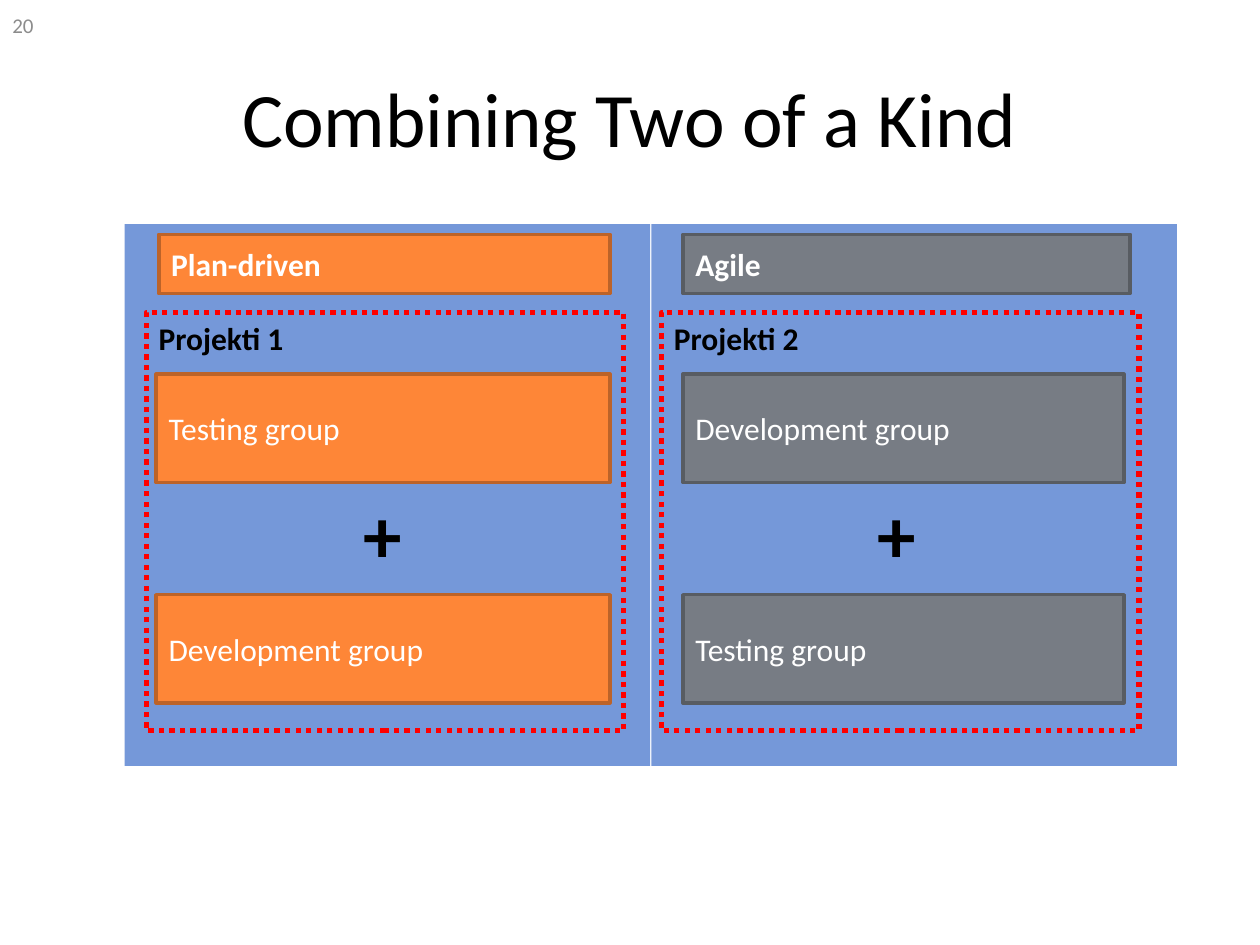
from dataclasses import dataclass

from pptx import Presentation
from pptx.dml.color import RGBColor
from pptx.enum.dml import MSO_LINE_DASH_STYLE as Dash
from pptx.enum.shapes import MSO_SHAPE as Shape
from pptx.enum.text import MSO_ANCHOR as Anchor, PP_ALIGN as Align
from pptx.util import Inches, Pt

COLORS = {
    "black": "000000",
    "white": "FFFFFF",
    "page_number": "8C8C8C",
    "panel": "7598D9",
    "orange": "FE8637",
    "orange_edge": "BC6329",
    "gray": "777C84",
    "gray_edge": "585C62",
    "red": "FF0000",
}
PANEL_TOP, PANEL_WIDTH, PANEL_HEIGHT = 1.78, 4.17, 4.3
HEADER_TOP, HEADER_HEIGHT = 1.86, 0.47
PROJECT_TOP, PROJECT_WIDTH, PROJECT_HEIGHT = 2.48, 3.79, 3.32
GROUP_TOP, GROUP_HEIGHT, GROUP_PITCH = 2.97, 0.86, 1.75
PLUS_TOP, PLUS_WIDTH, PLUS_HEIGHT = 3.81, 0.57, 0.83


@dataclass(frozen=True)
class Approach:
    name: str
    project: str
    groups: tuple[str, str]
    color: str
    panel_left: float
    header_left: float
    header_width: float
    project_left: float
    group_left: float
    group_width: float
    plus_left: float


APPROACHES = (
    Approach("Plan-driven", "Projekti 1", ("Testing group", "Development group"),
             "orange", 0.99, 1.26, 3.58, 1.16, 1.24, 3.6, 2.72),
    Approach("Agile", "Projekti 2", ("Development group", "Testing group"),
             "gray", 5.17, 5.42, 3.55, 5.25, 5.42, 3.5, 6.8),
)


def rgb(color: str) -> RGBColor:
    return RGBColor.from_string(COLORS[color])


def write(shape, text: str, *, size: float = 18, color: str = "black",
          bold: bool = False, align=Align.LEFT, anchor=Anchor.MIDDLE) -> None:
    frame = shape.text_frame
    frame.word_wrap = True
    frame.vertical_anchor = anchor
    paragraph = frame.paragraphs[0]
    paragraph.alignment = align
    run = paragraph.add_run()
    run.text = text
    run.font.name = "Calibri"
    run.font.size = Pt(size)
    run.font.bold = bold
    run.font.color.rgb = rgb(color)


def add_box(slide, left: float, top: float, width: float, height: float, *,
            fill: str | None = None, edge: str | None = None,
            edge_width: float = 2, dash=None):
    """Add a rectangle; without fill or edge, that part stays clear."""
    box = slide.shapes.add_shape(Shape.RECTANGLE, Inches(left), Inches(top),
                                 Inches(width), Inches(height))
    box.shadow.inherit = False
    if fill:
        box.fill.solid()
        box.fill.fore_color.rgb = rgb(fill)
    else:
        box.fill.background()
    if edge:
        box.line.color.rgb = rgb(edge)
        box.line.width = Pt(edge_width)
        if dash:
            box.line.dash_style = dash
    else:
        box.line.fill.background()
    return box


def add_label(slide, left: float, top: float, width: float, height: float,
              text: str, **text_format) -> None:
    label = slide.shapes.add_textbox(Inches(left), Inches(top),
                                     Inches(width), Inches(height))
    write(label, text, **text_format)


def add_approach(slide, approach: Approach) -> None:
    colors = {"fill": approach.color, "edge": f"{approach.color}_edge"}
    add_box(slide, approach.panel_left, PANEL_TOP, PANEL_WIDTH, PANEL_HEIGHT,
            fill="panel")
    header = add_box(slide, approach.header_left, HEADER_TOP,
                     approach.header_width, HEADER_HEIGHT, **colors)
    write(header, approach.name, color="white", bold=True)
    for row, group_name in enumerate(approach.groups):
        group = add_box(slide, approach.group_left, GROUP_TOP + row * GROUP_PITCH,
                        approach.group_width, GROUP_HEIGHT, **colors)
        write(group, group_name, color="white")
    project = add_box(slide, approach.project_left, PROJECT_TOP, PROJECT_WIDTH,
                      PROJECT_HEIGHT, edge="red", edge_width=3,
                      dash=Dash.ROUND_DOT)
    write(project, approach.project, bold=True, anchor=Anchor.TOP)
    add_label(slide, approach.plus_left, PLUS_TOP, PLUS_WIDTH, PLUS_HEIGHT, "+",
              size=44, bold=True, align=Align.RIGHT, anchor=Anchor.TOP)


def main() -> None:
    deck = Presentation()
    deck.slide_width, deck.slide_height = Inches(10), Inches(7.5)
    slide = deck.slides.add_slide(deck.slide_layouts[6])
    add_label(slide, 0.5, 0.3, 9, 1.25, "Combining Two of a Kind",
              size=44, align=Align.CENTER)
    for approach in APPROACHES:
        add_approach(slide, approach)
    add_label(slide, 0, 0, 2.33, 0.4, "20", size=12, color="page_number")
    deck.save("out.pptx")


if __name__ == "__main__":
    main()
